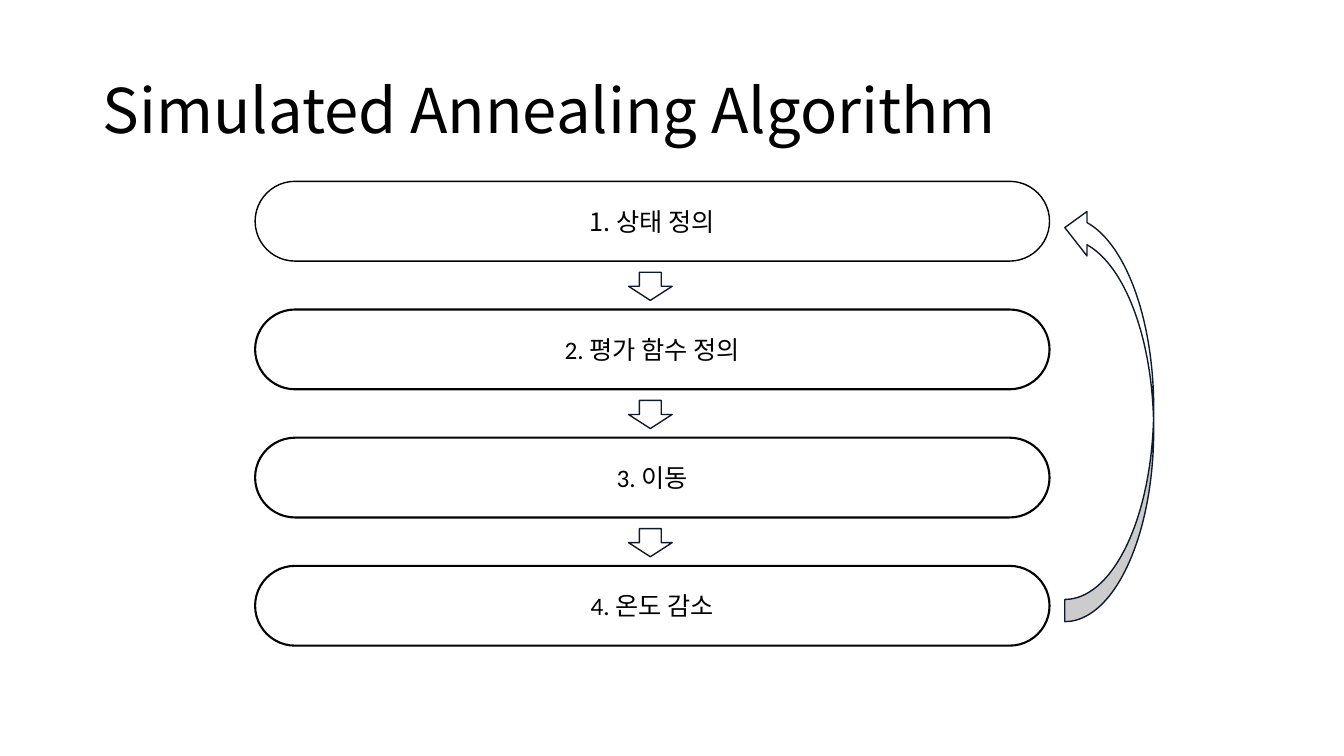
import dataclasses

import pptx
import pptx.dml.color
import pptx.enum.shapes
import pptx.enum.text
import pptx.oxml.ns
import pptx.util

Cm = pptx.util.Cm
Pt = pptx.util.Pt
Shape = pptx.enum.shapes.MSO_SHAPE
Align = pptx.enum.text.PP_ALIGN
Anchor = pptx.enum.text.MSO_ANCHOR


@dataclasses.dataclass(frozen=True)
class Theme:
    ink: str = "000000"
    paper: str = "FFFFFF"
    edge: str = "101A2E"
    title: int = 44
    body: int = 18
    sans: str = "Noto Sans CJK KR"
    latin: str = "Calibri"


THEME = Theme()
STEPS = ("1. 상태 정의", "2. 평가 함수 정의", "3. 이동", "4. 온도 감소")
TOP = 4.57
PITCH = 3.23


def color(code):
    return pptx.dml.color.RGBColor.from_string(code)


def write(frame, text, size=THEME.body, font=THEME.sans, align=Align.LEFT, space=1.0):
    frame.word_wrap = True
    frame.vertical_anchor = Anchor.MIDDLE
    para = frame.paragraphs[0]
    para.alignment = align
    para.line_spacing = space
    run = para.add_run()
    run.text = text
    run.font.size = Pt(size)
    run.font.name = font
    run.font.color.rgb = color(THEME.ink)
    props = run.font._element
    east = props.makeelement(pptx.oxml.ns.qn("a:ea"), {"typeface": THEME.sans})
    props.find(pptx.oxml.ns.qn("a:latin")).addnext(east)


def draw(slide, kind, left, top, width, height, edge, weight=1.0):
    shape = slide.shapes.add_shape(kind, Cm(left), Cm(top), Cm(width), Cm(height))
    shape.shadow.inherit = False
    shape.fill.solid()
    shape.fill.fore_color.rgb = color(THEME.paper)
    shape.line.color.rgb = color(edge)
    shape.line.width = Pt(weight)
    return shape


def add_title(slide, text):
    box = slide.shapes.add_textbox(Cm(2.34), Cm(1.02), Cm(29.21), Cm(3.68))
    write(box.text_frame, text, size=THEME.title, space=0.9)


def add_step(slide, text, row):
    first = row == 0
    pill = draw(slide, Shape.ROUNDED_RECTANGLE, 6.43, TOP + row * PITCH, 20.02, 2.01,
                THEME.ink, 1 if first else 1.5)
    pill.adjustments[0] = 0.5
    pill.fill.background()
    write(pill.text_frame, text, font=THEME.sans if first else THEME.latin,
          align=Align.CENTER)


def add_arrow(slide, row):
    draw(slide, Shape.DOWN_ARROW, 15.84, TOP + 2.29 + row * PITCH, 1.1, 0.71, THEME.edge)


def add_loop(slide):
    loop = draw(slide, Shape.CURVED_UP_ARROW, 22.71, 9.3, 10.49, 2.24, THEME.edge)
    loop.rotation = 270


def main():
    deck = pptx.Presentation()
    deck.slide_width = Cm(33.87)
    deck.slide_height = Cm(19.05)
    slide = deck.slides.add_slide(deck.slide_layouts[6])
    add_title(slide, "Simulated Annealing Algorithm")
    for row, text in enumerate(STEPS):
        add_step(slide, text, row)
    for row in range(len(STEPS) - 1):
        add_arrow(slide, row)
    add_loop(slide)
    deck.save("out.pptx")


if __name__ == "__main__":
    main()
